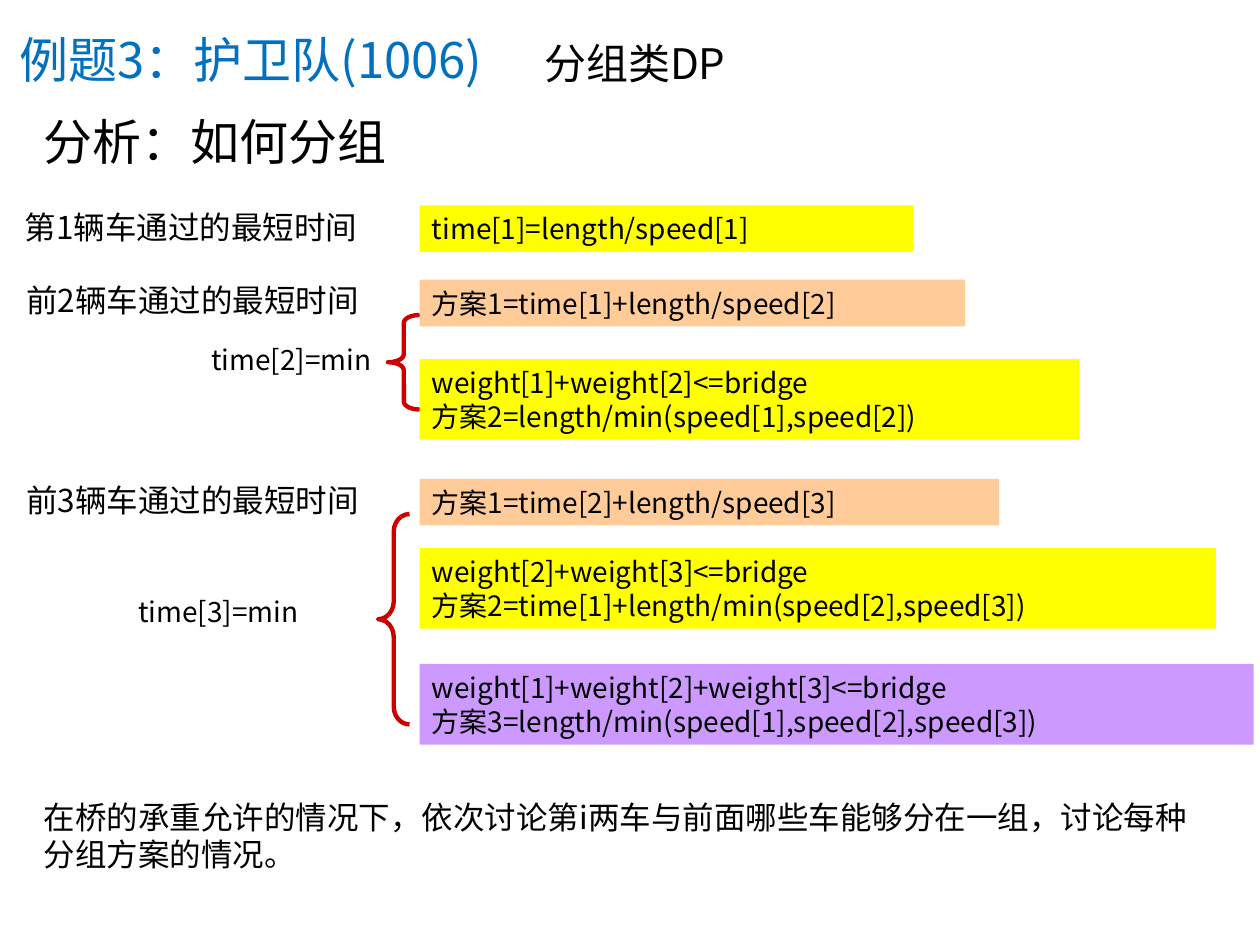
import pptx
import pptx.dml.color
import pptx.enum.shapes
import pptx.enum.text
import pptx.oxml.ns
import pptx.util
from lxml import etree

Inches = pptx.util.Inches
RGBColor = pptx.dml.color.RGBColor
MSO_ANCHOR = pptx.enum.text.MSO_ANCHOR
MSO_SHAPE = pptx.enum.shapes.MSO_SHAPE

FONT = "Noto Sans CJK SC"
BLACK = RGBColor(0x00, 0x00, 0x00)
BLUE = RGBColor(0x00, 0x70, 0xC0)
RED = RGBColor(0xCC, 0x00, 0x00)
YELLOW = RGBColor(0xFF, 0xFF, 0x00)
ORANGE = RGBColor(0xFF, 0xCC, 0x99)
PURPLE = RGBColor(0xCC, 0x99, 0xFF)

SCHEME_LEFT = 3.33
LINE_HEIGHTS = {1: 0.37, 2: 0.64}


def write(shape, text, size, color=BLACK, wrap=True, anchor=MSO_ANCHOR.MIDDLE):
    """Fill a shape with left-aligned text in the slide font."""
    frame = shape.text_frame
    frame.text = text
    frame.word_wrap = wrap
    frame.auto_size = pptx.enum.text.MSO_AUTO_SIZE.SHAPE_TO_FIT_TEXT
    frame.vertical_anchor = anchor
    for paragraph in frame.paragraphs:
        paragraph.alignment = pptx.enum.text.PP_ALIGN.LEFT
        for run in paragraph.runs:
            run.font.size = pptx.util.Pt(size)
            run.font.color.rgb = color
            run.font.name = FONT
            east_asian = etree.SubElement(run._r.get_or_add_rPr(), pptx.oxml.ns.qn("a:ea"))
            east_asian.set("typeface", FONT)


def add_text(slide, left, top, width, height, text, size, **style):
    """Add a text box."""
    box = slide.shapes.add_textbox(Inches(left), Inches(top), Inches(width), Inches(height))
    write(box, text, size, **style)


def add_scheme(slide, top, width, color, text):
    """Add a coloured bar holding the formula of one scheme."""
    height = LINE_HEIGHTS[len(text.split("\n"))]
    bar = slide.shapes.add_shape(
        MSO_SHAPE.RECTANGLE, Inches(SCHEME_LEFT), Inches(top), Inches(width), Inches(height))
    bar.shadow.inherit = False
    bar.fill.solid()
    bar.fill.fore_color.rgb = color
    bar.line.fill.background()
    write(bar, text, 16)


def add_brace(slide, left, top, height, curve):
    """Add a red left brace."""
    brace = slide.shapes.add_shape(
        MSO_SHAPE.LEFT_BRACE, Inches(left), Inches(top), Inches(0.25), Inches(height))
    brace.shadow.inherit = False
    brace.adjustments[0] = curve
    brace.fill.background()
    brace.line.color.rgb = RED
    brace.line.width = pptx.util.Pt(2.5)


def add_header(slide, left, top):
    """Add the title, its category and the subtitle."""
    add_text(slide, left, top, 4.15, 0.57, "例题3：护卫队(1006)", 28, color=BLUE, wrap=False)
    add_text(slide, left + 4.16, top + 0.07, 1.72, 0.5, "分组类DP", 24, wrap=False)
    add_text(slide, left + 0.19, top + 0.65, 2.92, 0.57, "分析：如何分组", 28, wrap=False)


def add_case(slide, left, top, cars, schemes):
    """Add the label of one case and its schemes, each offset from the top."""
    add_text(slide, left, top, 2.96, 0.4, f"{cars}辆车通过的最短时间", 18, wrap=False)
    for offset, width, color, text in schemes:
        add_scheme(slide, top + offset, width, color, text)


def add_minimum(slide, left, top, text, brace):
    """Add the minimum expression and the brace that opens its schemes."""
    add_brace(slide, *brace)
    add_text(slide, left, top, 2.02, 0.37, text, 16, anchor=MSO_ANCHOR.TOP)


def main():
    """Build the slide and save it."""
    deck = pptx.Presentation()
    deck.slide_width, deck.slide_height = Inches(10), Inches(7.5)
    slide = deck.slides.add_slide(deck.slide_layouts[6])

    add_header(slide, 0.06, 0.18)
    add_case(slide, 0.1, 1.6, "第1", [(0.03, 3.92, YELLOW, "time[1]=length/speed[1]")])
    add_case(slide, 0.11, 2.18, "前2", [
        (0.04, 4.33, ORANGE, "方案1=time[1]+length/speed[2]"),
        (0.67, 5.24, YELLOW, "weight[1]+weight[2]<=bridge\n方案2=length/min(speed[1],speed[2])"),
    ])
    add_case(slide, 0.11, 3.77, "前3", [
        (0.03, 4.6, ORANGE, "方案1=time[2]+length/speed[3]"),
        (0.58, 6.32, YELLOW,
         "weight[2]+weight[3]<=bridge\n方案2=time[1]+length/min(speed[2],speed[3])"),
        (1.5, 6.62, PURPLE,
         "weight[1]+weight[2]+weight[3]<=bridge\n方案3=length/min(speed[1],speed[2],speed[3])"),
    ])
    add_minimum(slide, 1.58, 2.67, "time[2]=min", (3.08, 2.5, 0.75, 0.25))
    add_minimum(slide, 1, 4.67, "time[3]=min", (3, 4.08, 1.67, 0.56))
    add_text(slide, 0.25, 6.28, 9.33, 0.7,
             "在桥的承重允许的情况下，依次讨论第i两车与前面哪些车能够分在一组，讨论每种分组方案的情况。", 18)

    deck.save("out.pptx")


if __name__ == "__main__":
    main()
